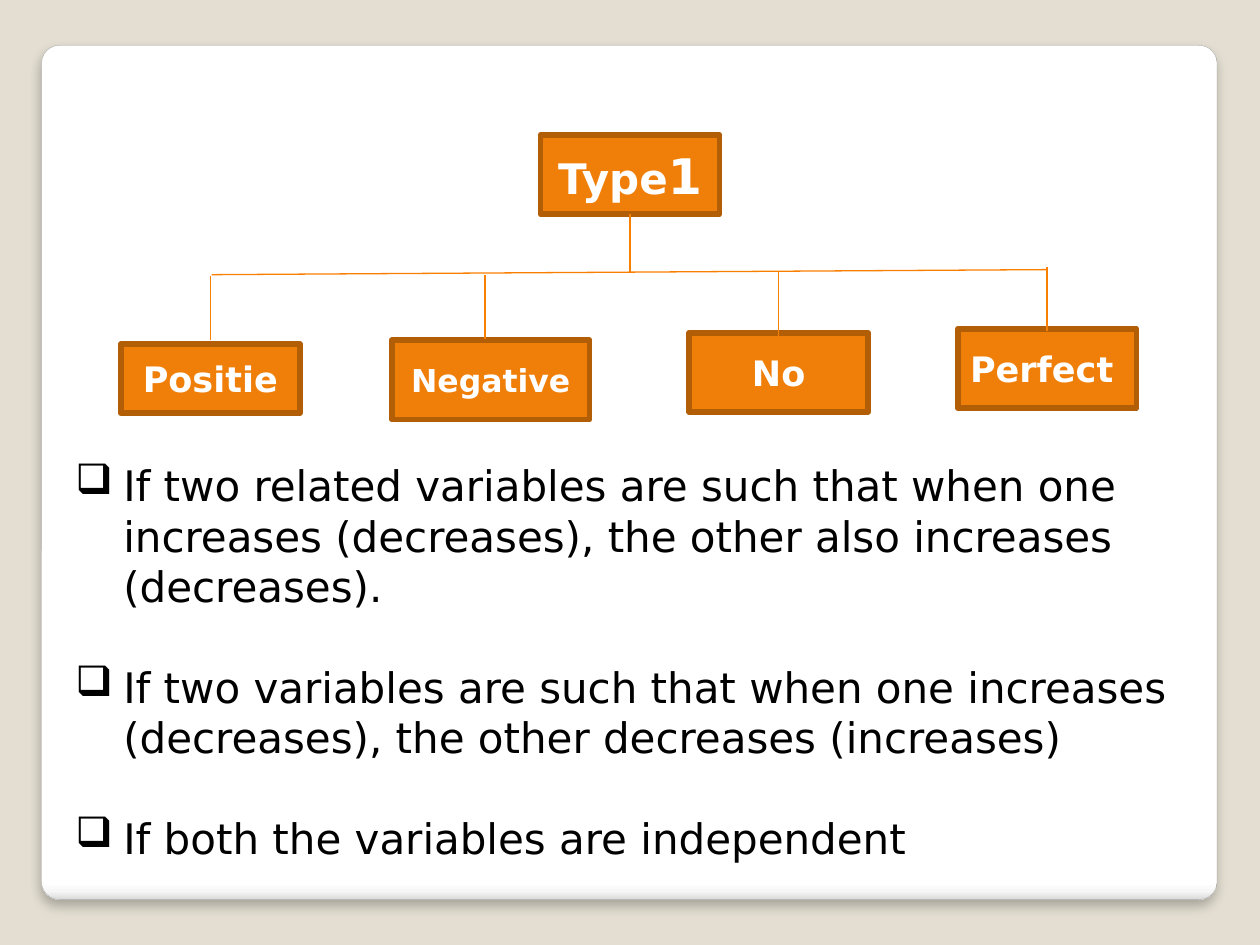
"""Build a slide showing the types of correlation as a tree with definitions."""
import lxml.etree
import pptx
import pptx.dml.color
import pptx.enum.shapes
import pptx.enum.text
import pptx.oxml.ns
import pptx.util

Inches = pptx.util.Inches
Pt = pptx.util.Pt
RGBColor = pptx.dml.color.RGBColor
ALIGN = pptx.enum.text.PP_ALIGN
SHAPES = pptx.enum.shapes.MSO_SHAPE
qn = pptx.oxml.ns.qn

FONT = "DejaVu Sans"
BACKGROUND = RGBColor(0xE3, 0xDE, 0xD1)
PANEL_LINE = RGBColor(0xA4, 0xA4, 0xA4)
ORANGE = RGBColor(0xF0, 0x7F, 0x09)
BROWN = RGBColor(0xB2, 0x5E, 0x07)
BRANCH = RGBColor(0xF9, 0x7F, 0x00)
WHITE = RGBColor(0xFF, 0xFF, 0xFF)
BLACK = RGBColor(0, 0, 0)

PANEL_STOPS = [(0, "FFFFFF"), (98, "FFFFFF"), (99, "F7F7F7"), (100, "DADADA")]
BOXES = [
    ([("Type", 24), ("1", 28)], (4.29, 1.07, 1.42, 0.63), ALIGN.CENTER),
    ([("Positie", 20)], (0.96, 2.73, 1.42, 0.55), ALIGN.CENTER),
    ([("Negative", 18)], (3.11, 2.7, 1.57, 0.63), ALIGN.CENTER),
    ([("No", 20)], (5.47, 2.64, 1.42, 0.63), ALIGN.CENTER),
    ([("Perfect", 20)], (7.6, 2.61, 1.42, 0.63), ALIGN.LEFT),
]
TRUNK = [((1.68, 2.18), (8.31, 2.14)), ((5, 1.7), (5, 2.16))]
DROP_TOPS = [(1.67, 2.19), (3.85, 2.18), (6.18, 2.16), (8.31, 2.12)]
DROP = 0.51
DEFINITIONS = [
    "If two related variables are such that when one increases (decreases), "
    "the other also increases (decreases).",
    "If two variables are such that when one increases (decreases), "
    "the other decreases (increases)",
    "If both the variables are independent",
]


def add_element(parent, tag, **attributes):
    return lxml.etree.SubElement(parent, qn(tag), attributes)


def add_panel(slide):
    panel = slide.shapes.add_shape(
        SHAPES.ROUNDED_RECTANGLE, *map(Inches, (0.33, 0.36, 9.33, 6.78)))
    panel.adjustments[0] = 0.021
    panel.line.color.rgb = PANEL_LINE
    panel.line.width = Pt(0.16)
    panel.fill.gradient()
    panel.fill.gradient_angle = 270
    stops = panel.element.spPr.find(qn("a:gradFill")).find(qn("a:gsLst"))
    for stop in list(stops):
        stops.remove(stop)
    for position, color in PANEL_STOPS:
        stop = add_element(stops, "a:gs", pos=str(position * 1000))
        add_element(stop, "a:srgbClr", val=color)
    effects = add_element(panel.element.spPr, "a:effectLst")
    shadow = add_element(effects, "a:outerShdw", blurRad=str(Pt(6)), dist=str(Pt(4)),
                         dir="5400000", algn="t", rotWithShape="0")
    color = add_element(shadow, "a:srgbClr", val="000000")
    add_element(color, "a:alpha", val="25000")


def add_box(slide, runs, place, alignment):
    box = slide.shapes.add_shape(SHAPES.RECTANGLE, *map(Inches, place))
    box.shadow.inherit = False
    box.fill.solid()
    box.fill.fore_color.rgb = ORANGE
    box.line.color.rgb = BROWN
    box.line.width = Pt(3.35)
    box.text_frame.vertical_anchor = pptx.enum.text.MSO_ANCHOR.MIDDLE
    paragraph = box.text_frame.paragraphs[0]
    paragraph.alignment = alignment
    paragraph.font.name = FONT
    paragraph.font.bold = True
    paragraph.font.color.rgb = WHITE
    for text, size in runs:
        run = paragraph.add_run()
        run.text = text
        run.font.size = Pt(size)


def add_line(slide, start, end):
    line = slide.shapes.add_connector(
        pptx.enum.shapes.MSO_CONNECTOR.STRAIGHT, *map(Inches, start + end))
    line.line.color.rgb = BRANCH
    line.line.width = Pt(0.75)
    add_element(line.element.spPr, "a:effectLst")


def add_definitions(slide):
    text_box = slide.shapes.add_textbox(*map(Inches, (0.5, 3.6, 8.98, 3.3)))
    frame = text_box.text_frame
    frame.word_wrap = True
    for index, text in enumerate(DEFINITIONS):
        paragraph = frame.paragraphs[0] if index == 0 else frame.add_paragraph()
        paragraph.text = text
        paragraph.font.name = FONT
        paragraph.font.size = Pt(24)
        paragraph.font.color.rgb = BLACK
        paragraph.space_before = Pt(28.7 if index else 0)
        properties = paragraph._p.get_or_add_pPr()
        properties.set("marL", str(Inches(0.38)))
        properties.set("indent", str(Inches(-0.38)))
        bullet = lxml.etree.Element(qn("a:buChar"), char="❑")
        properties.find(qn("a:defRPr")).addprevious(bullet)


def main():
    presentation = pptx.Presentation()
    presentation.slide_width, presentation.slide_height = Inches(10), Inches(7.5)
    slide = presentation.slides.add_slide(presentation.slide_layouts[6])
    slide.background.fill.solid()
    slide.background.fill.fore_color.rgb = BACKGROUND
    add_panel(slide)
    add_definitions(slide)
    for runs, place, alignment in BOXES:
        add_box(slide, runs, place, alignment)
    drops = [((x, y), (x, y + DROP)) for x, y in DROP_TOPS]
    for start, end in TRUNK + drops:
        add_line(slide, start, end)
    presentation.save("out.pptx")


if __name__ == "__main__":
    main()
